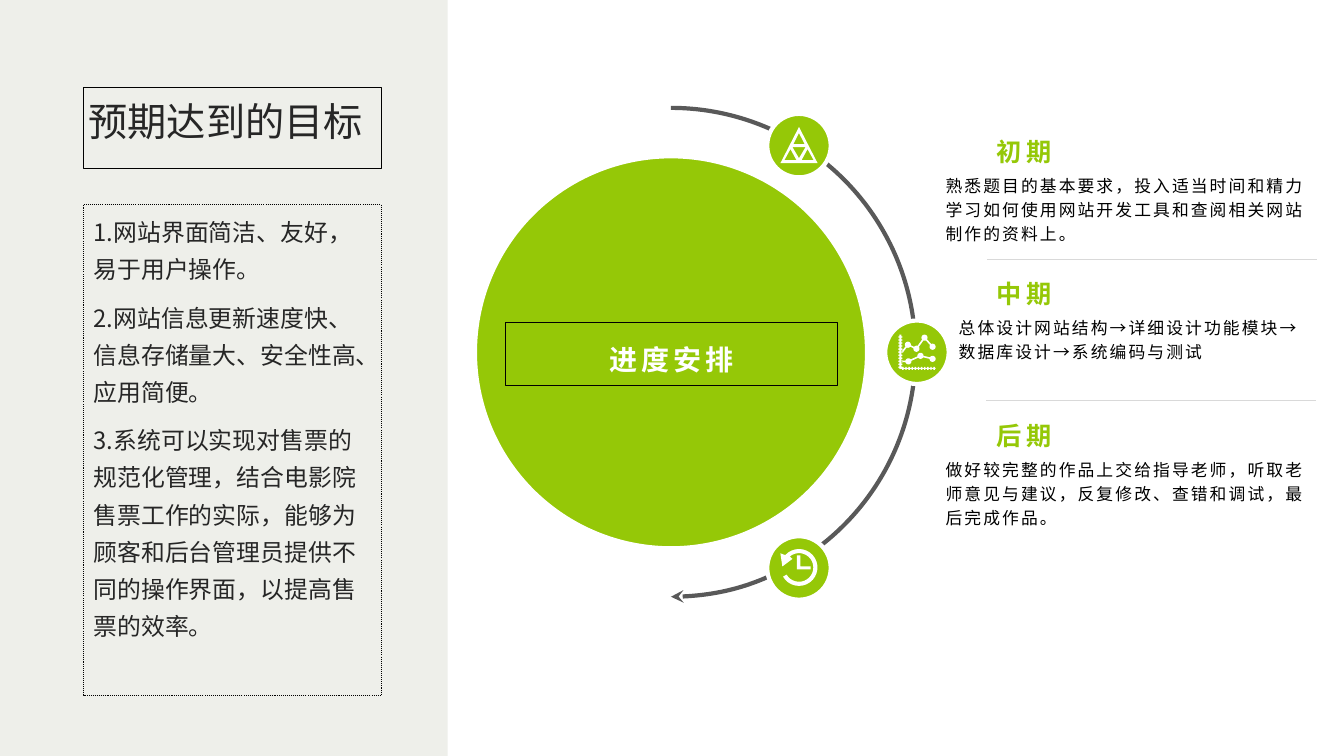
import math

from lxml import etree
from pptx import Presentation
from pptx.dml.color import RGBColor
from pptx.enum.dml import MSO_LINE
from pptx.enum.shapes import MSO_CONNECTOR, MSO_SHAPE
from pptx.enum.text import MSO_ANCHOR, PP_ALIGN
from pptx.oxml.ns import qn
from pptx.util import Pt

PX = 9144  # EMU in one px, 100 px to the inch
FINE = 20  # icon units in one px
TOP, MIDDLE, BOTTOM = MSO_ANCHOR.TOP, MSO_ANCHOR.MIDDLE, MSO_ANCHOR.BOTTOM
LEFT, CENTER = PP_ALIGN.LEFT, PP_ALIGN.CENTER
RECTANGLE, OVAL, ARC = MSO_SHAPE.RECTANGLE, MSO_SHAPE.OVAL, MSO_SHAPE.ARC
STRAIGHT = MSO_CONNECTOR.STRAIGHT
SYSTEM_DOT = MSO_LINE.ROUND_DOT

GREEN = RGBColor(0x95, 0xC8, 0x07)
WHITE = RGBColor(0xFF, 0xFF, 0xFF)
BLACK = RGBColor(0x00, 0x00, 0x00)
INK = RGBColor(0x26, 0x26, 0x26)
PANEL = RGBColor(0xEE, 0xEF, 0xEA)
ARC_GRAY = RGBColor(0x59, 0x59, 0x59)
RULE_GRAY = RGBColor(0xD9, 0xD9, 0xD9)
CJK_FONT = "Noto Sans CJK SC"


def add_text(box, lines, size, color, factor, insets, anchor=TOP, align=LEFT,
             bold=False, tracking=0, after=0, font="Arial"):
    shape = slide.shapes.add_textbox(*[PX * n for n in box])
    frame = shape.text_frame
    frame.word_wrap = True
    frame.vertical_anchor = anchor
    (frame.margin_left, frame.margin_top,
     frame.margin_right, frame.margin_bottom) = [PX * n for n in insets]
    frame.text = "\n".join(lines)
    for paragraph in frame.paragraphs:
        paragraph.alignment = align
        paragraph.line_spacing = Pt(round(size * 1.2 * factor, 1))
        paragraph.space_after = Pt(after)
        run = paragraph.runs[0]
        run.font.size = Pt(size)
        run.font.bold = bold
        run.font.color.rgb = color
        run.font.name = font
        properties = run.font._element
        etree.SubElement(properties, qn("a:ea")).set("typeface", CJK_FONT)
        if tracking:
            properties.set("spc", str(tracking))
    return shape


def arc_points(x, y, radius, start, end, steps=24):
    angles = [start + (end - start) * i / steps for i in range(steps + 1)]
    return [(x + radius * math.cos(a), y + radius * math.sin(a)) for a in angles]


presentation = Presentation()
presentation.slide_width = 1333 * PX
presentation.slide_height = 750 * PX
slide = presentation.slides.add_slide(presentation.slide_layouts[6])

# Left panel
panel = slide.shapes.add_shape(RECTANGLE, 0, 0, 444 * PX, 750 * PX)
panel.shadow.inherit = False
panel.fill.solid()
panel.fill.fore_color.rgb = PANEL
panel.line.fill.background()

title = add_text((83, 87, 295, 80), ["预期达到的目标"], 28, INK, 1.1, (5, 5, 5, 5))
goals = add_text(
    (83, 203, 295, 487),
    ["1.网站界面简洁、友好，易于用户操作。",
     "2.网站信息更新速度快、信息存储量大、安全性高、应用简便。",
     "3.系统可以实现对售票的规范化管理，结合电影院售票工作的实际，"
     "能够为顾客和后台管理员提供不同的操作界面，以提高售票的效率。"],
    17, INK, 1.3, (10, 5, 10, 5), after=8, font=CJK_FONT)
goals.line.dash_style = SYSTEM_DOT

# Large circle and curved arrow
circle = slide.shapes.add_shape(OVAL, 470 * PX, 154 * PX, 391 * PX, 391 * PX)
circle.shadow.inherit = False
circle.fill.solid()
circle.fill.fore_color.rgb = GREEN
circle.line.color.rgb = WHITE
circle.line.width = Pt(4.5)

arrow = slide.shapes.add_shape(ARC, 423 * PX, 107 * PX, 485 * PX, 485 * PX)
arrow.shadow.inherit = False
arrow.adjustments[0], arrow.adjustments[1] = 162, 54
arrow.fill.background()
arrow.line.color.rgb = ARC_GRAY
arrow.line.width = Pt(3)
etree.SubElement(arrow.line._get_or_add_ln(), qn("a:tailEnd")).set("type", "stealth")

# Triangle icon: an outer triangle with four openings
triangle_icon = [
    [(792.5, 126), (811, 162), (774, 162)],
    [(792.5, 132), (798, 143), (787, 143)],
    [(778, 159), (784, 148), (790, 159)],
    [(786, 146), (799, 146), (792.5, 157)],
    [(801, 148), (807, 159), (795, 159)],
]

# Chart icon: axes, ticks and two dotted lines
axis_bars = [(892, 332, 2, 33), (892, 365, 36, 1)]
for i in range(11):
    tick_y, tick_x = 333.7 + 3 * i, 894.9 + 3.1 * i
    axis_bars += [(891, tick_y, 1, 1.3), (894, tick_y, 1, 1.3)]
    axis_bars += [(tick_x, 364, 1.3, 1), (tick_x, 366, 1.3, 1)]
chart_icon = [[(x, y), (x + w, y), (x + w, y + h), (x, y + h)]
              for x, y, w, h in axis_bars]
chart_lines = [
    [(895, 349), (900.5, 342), (909, 346), (917, 335), (925, 344)],
    [(895, 358.5), (901, 358.5), (913, 353), (925, 356)],
]
for dots in chart_lines:
    walk = dots + dots[-2:0:-1]
    outline = []
    for i, (x, y) in enumerate(walk):
        before, following = walk[i - 1], walk[(i + 1) % len(walk)]
        arriving = math.atan2(before[1] - y, before[0] - x)
        leaving = math.atan2(following[1] - y, following[0] - x)
        sweep = (leaving - arriving) % math.tau or math.tau
        radius = 1 if i == 0 else 3
        half_gap = math.asin(0.8 / radius)
        outline += arc_points(x, y, radius, arriving + half_gap,
                              arriving + sweep - half_gap)
    chart_icon.append(outline)

# Clock icon: a ring that ends in an arrowhead, and two hands
ring_end = math.radians(150)
clock_icon = [
    arc_points(792.5, 563, 18.3, math.radians(-138), ring_end)
    + arc_points(792.5, 563, 14.2, ring_end, math.radians(-130))
    + [(786, 554.5), (776, 562), (774, 549)],
    [(790.5, 551), (794, 551), (794, 562), (804, 562), (804, 565), (790.5, 565)],
]

# Badges on the arrow
badges = [(761, 532, clock_icon), (878, 318, chart_icon), (761, 113, triangle_icon)]
for left, top, contours in badges:
    badge = slide.shapes.add_shape(OVAL, left * PX, top * PX, 63 * PX, 63 * PX)
    badge.shadow.inherit = False
    badge.fill.solid()
    badge.fill.fore_color.rgb = GREEN
    badge.line.color.rgb = WHITE
    badge.line.width = Pt(3)
    scaled = [[(round(x * FINE), round(y * FINE)) for x, y in c] for c in contours]
    builder = slide.shapes.build_freeform(*scaled[0][0], scale=PX / FINE)
    builder.add_line_segments(scaled[0][1:], close=True)
    for contour in scaled[1:]:
        builder.move_to(*contour[0])
        builder.add_line_segments(contour[1:], close=True)
    icon = builder.convert_to_shape()
    icon.shadow.inherit = False
    icon.fill.solid()
    icon.fill.fore_color.rgb = WHITE
    icon.line.fill.background()

# Stages
stages = [
    ("初期", 928, "熟悉题目的基本要求，投入适当时间和精力学习如何使用网站开发工具和查阅相关网站制作的资料上。"),
    ("中期", 941, "总体设计网站结构→详细设计功能模块→数据库设计→系统编码与测试"),
    ("后期", 928, "做好较完整的作品上交给指导老师，听取老师意见与建议，反复修改、查错和调试，最后完成作品。"),
]
for i, (heading, left, detail) in enumerate(stages):
    top = 115 + 141 * i
    add_text((left, top + 55, 1312 - left, 79), [detail], 12, BLACK, 1.2,
             (10, 0, 10, 5), tracking=150)
    add_text((979, top, 333, 50), [heading], 18, GREEN, 1.2, (10, 5, 10, 0),
             anchor=BOTTOM, bold=True, tracking=300)

# Dividers
for left, y in [(979, 257), (978, 397)]:
    divider = slide.shapes.add_connector(
        STRAIGHT, left * PX, y * PX, (left + 327) * PX, y * PX)
    divider.line.color.rgb = RULE_GRAY
    divider.line.width = Pt(0.5)
    etree.SubElement(divider._element.spPr, qn("a:effectLst"))

# Circle caption and the frames of the outlined boxes
caption = add_text((501, 320, 330, 62), ["进度安排"], 20, WHITE, 1.2, (10, 5, 10, 0),
                   anchor=MIDDLE, align=CENTER, bold=True, tracking=300)
for outlined in (title, goals, caption):
    outlined.line.color.rgb = BLACK
    outlined.line.width = Pt(0.75)

presentation.save("out.pptx")
